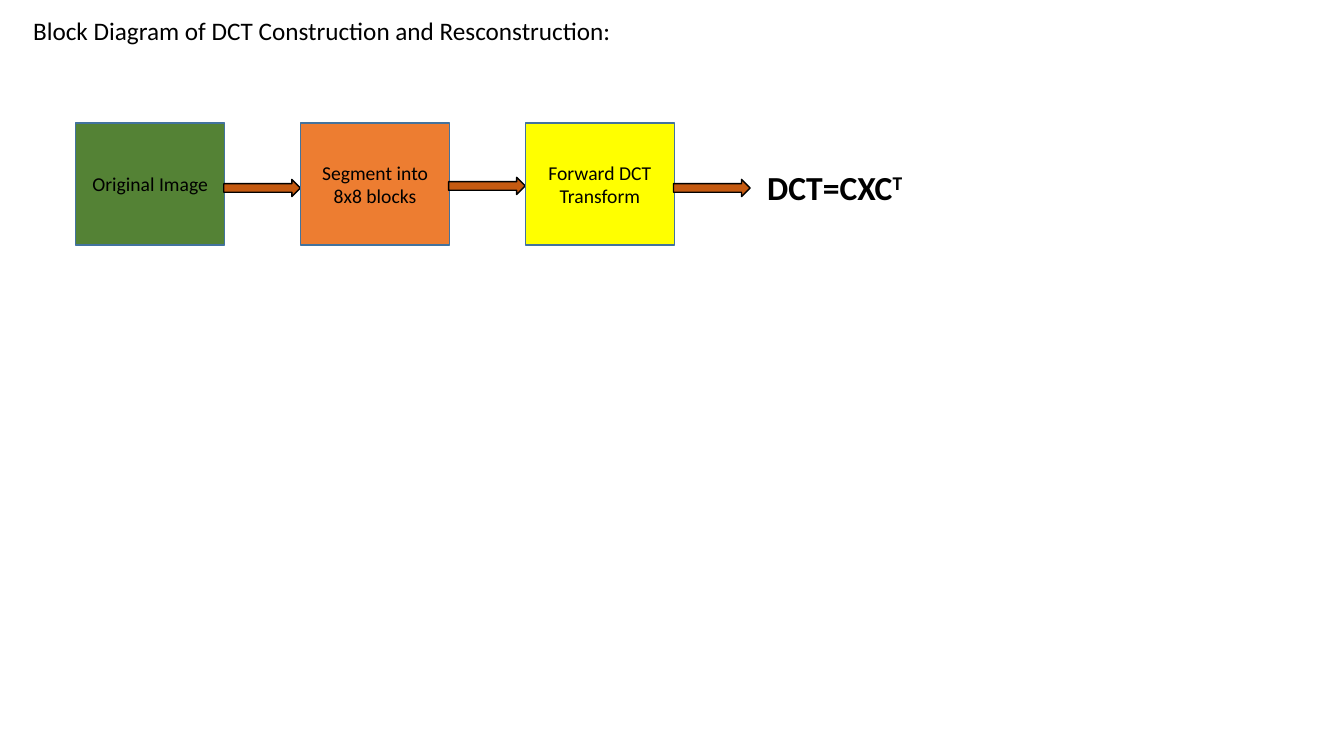
from pptx import Presentation
from pptx.dml.color import RGBColor
from pptx.enum.shapes import MSO_SHAPE
from pptx.enum.text import MSO_ANCHOR, PP_ALIGN
from pptx.util import Inches, Pt

RECTANGLE = MSO_SHAPE.RECTANGLE
ARROW = MSO_SHAPE.RIGHT_ARROW
MIDDLE = MSO_ANCHOR.MIDDLE
LEFT, CENTER = PP_ALIGN.LEFT, PP_ALIGN.CENTER

FONT = "Calibri"
COLORS = {
    "text": "000000",
    "block_line": "43739E",
    "image": "548235",
    "segment": "ED7D31",
    "transform": "FFFF00",
    "arrow": "C55A11",
    "arrow_line": "000000",
}

# Label, fill colour and vertical shift of the arrow that follows
STAGES = [
    ("Original Image", "image", 0.56),
    ("Segment into 8x8 blocks", "segment", 0.54),
    ("Forward DCT Transform", "transform", 0.56),
]
BLOCK_WIDTH, BLOCK_HEIGHT = 1.48, 1.21
ARROW_WIDTH, ARROW_HEIGHT = 0.76, 0.17
STAGE_PITCH = 2.23


def color(name):
    return RGBColor.from_string(COLORS[name])


def write(shape, text, size=14, bold=False, align=LEFT, superscript=None):
    frame = shape.text_frame
    frame.word_wrap = True
    paragraph = frame.paragraphs[0]
    paragraph.alignment = align
    for part in filter(None, (text, superscript)):
        run = paragraph.add_run()
        run.text = part
        run.font.name = FONT
        run.font.size = Pt(size)
        run.font.bold = bold
        run.font.color.rgb = color("text")
    if superscript:
        run._r.get_or_add_rPr().set("baseline", "30000")


def add_text(slide, box, text, **text_format):
    shape = slide.shapes.add_textbox(*map(Inches, box))
    write(shape, text, **text_format)


def add_filled_shape(slide, kind, box, fill, line):
    shape = slide.shapes.add_shape(kind, *map(Inches, box))
    shape.shadow.inherit = False
    shape.fill.solid()
    shape.fill.fore_color.rgb = color(fill)
    shape.line.color.rgb = color(line)
    shape.line.width = Pt(1)
    return shape


def add_stage(slide, left, top, label, fill, arrow_shift):
    # Block with its label
    block = add_filled_shape(slide, RECTANGLE, (left, top, BLOCK_WIDTH, BLOCK_HEIGHT),
                             fill, "block_line")
    block.text_frame.vertical_anchor = MIDDLE
    write(block, label, align=CENTER)
    # Arrow to the next step
    arrow_box = (left + BLOCK_WIDTH - 0.01, top + arrow_shift, ARROW_WIDTH, ARROW_HEIGHT)
    add_filled_shape(slide, ARROW, arrow_box, "arrow", "arrow_line")


def add_flow(slide, left, top):
    for index, stage in enumerate(STAGES):
        add_stage(slide, left + index * STAGE_PITCH, top, *stage)
    # Resulting formula
    formula_left = left + len(STAGES) * STAGE_PITCH + 0.07
    add_text(slide, (formula_left, top + 0.39, 5.5, 0.5), "DCT=CXC",
             size=24, bold=True, superscript="T")


def main():
    presentation = Presentation()
    presentation.slide_width = Inches(13.33)
    presentation.slide_height = Inches(7.5)
    slide = presentation.slides.add_slide(presentation.slide_layouts[6])
    # Heading
    add_text(slide, (0.23, 0.1, 6.45, 0.4),
             "Block Diagram of DCT Construction and Resconstruction:", size=18)
    # Block diagram
    add_flow(slide, 0.75, 1.22)
    presentation.save("out.pptx")


if __name__ == "__main__":
    main()
